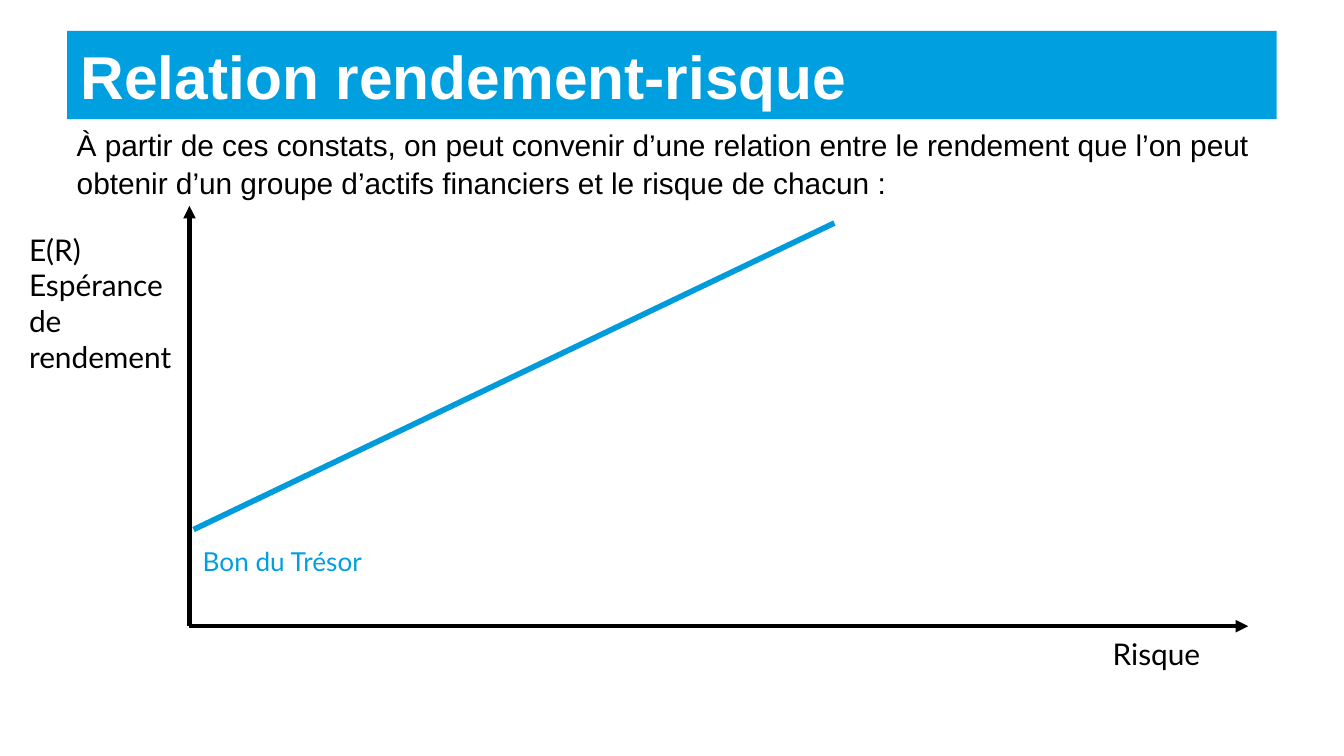
from dataclasses import dataclass

from lxml import etree
from pptx import Presentation
from pptx.dml.color import RGBColor
from pptx.enum.shapes import MSO_CONNECTOR
from pptx.enum.text import MSO_ANCHOR, MSO_AUTO_SIZE, PP_ALIGN
from pptx.oxml.ns import qn
from pptx.shapes.shapetree import GroupShapes
from pptx.slide import Slide
from pptx.text.text import TextFrame
from pptx.util import Pt

STRAIGHT = MSO_CONNECTOR.STRAIGHT
MIDDLE, TOP = MSO_ANCHOR.MIDDLE, MSO_ANCHOR.TOP
NO_FIT = MSO_AUTO_SIZE.NONE
FIT_SHAPE = MSO_AUTO_SIZE.SHAPE_TO_FIT_TEXT
LEFT = PP_ALIGN.LEFT

BLACK = RGBColor(0x00, 0x00, 0x00)
WHITE = RGBColor(0xFF, 0xFF, 0xFF)
BLUE = RGBColor(0x00, 0x9F, 0xDF)
SLOPE_BLUE = RGBColor(0x00, 0x9B, 0xDA)

TITLE_FORMAT = {"name": "Arial", "size": Pt(32.4), "bold": True}
BODY_FORMAT = {"name": "Arial", "size": Pt(16)}
TITLE_FRAME = {"vertical_anchor": MIDDLE, "auto_size": NO_FIT, "word_wrap": True}
BODY_FRAME = {"vertical_anchor": TOP, "auto_size": NO_FIT, "word_wrap": True}
LABEL_FRAME = {"vertical_anchor": TOP, "auto_size": FIT_SHAPE, "word_wrap": False}

ORIGIN = (101.5, 335.5)


@dataclass(frozen=True)
class Box:
    left: float
    top: float
    width: float
    height: float


@dataclass(frozen=True)
class Label:
    lines: tuple[str, ...]
    box: Box
    size: float = 16
    color: RGBColor = BLACK


@dataclass(frozen=True)
class Line:
    start: tuple[float, float]
    end: tuple[float, float]
    color: RGBColor = BLACK
    width: float = 2.25
    arrow: bool = True


LABELS = (
    Label(("E(R)", "Espérance", "de", "rendement"), Box(8.5, 120.3, 91.5, 85)),
    Label(("Risque",), Box(589, 337, 62, 26.5)),
    Label(("Bon du Trésor",), Box(101.5, 288.8, 101.5, 24.5), 14, BLUE),
)
LINES = (
    Line(ORIGIN, (ORIGIN[0], 110.3)),
    Line(ORIGIN, (668.7, ORIGIN[1])),
    Line((103.7, 283.7), (447, 119.5), SLOPE_BLUE, 3, False),
)


def write_text(frame: TextFrame, lines: tuple[str, ...], frame_format: dict,
               font_format: dict, color: RGBColor) -> None:
    for attribute, value in frame_format.items():
        setattr(frame, attribute, value)
    for index, line in enumerate(lines):
        paragraph = frame.paragraphs[0] if index == 0 else frame.add_paragraph()
        paragraph.text = line
        paragraph.alignment = LEFT
        for attribute, value in font_format.items():
            setattr(paragraph.font, attribute, value)
        paragraph.font.color.rgb = color


def add_title(slide: Slide) -> None:
    title = slide.shapes.title
    placement = {"left": 36, "top": 16.5, "width": 648, "height": 47.3}
    for attribute, value in placement.items():
        setattr(title, attribute, Pt(value))
    title.fill.solid()
    title.fill.fore_color.rgb = BLUE
    write_text(title.text_frame, ("Relation rendement-risque",), TITLE_FRAME,
               TITLE_FORMAT, WHITE)


def add_introduction(slide: Slide) -> None:
    introduction = slide.shapes.add_textbox(Pt(19.5), Pt(63.5), Pt(680.5), Pt(322))
    frame = introduction.text_frame
    frame.margin_left = Pt(21.6)
    sentence = (
        "À partir de ces constats, on peut convenir d’une relation entre le "
        "rendement que l’on peut obtenir d’un groupe d’actifs financiers et "
        "le risque de chacun :"
    )
    write_text(frame, (sentence,), BODY_FRAME, BODY_FORMAT, BLACK)
    frame.paragraphs[0].line_spacing = 1.05


def add_label(shapes: GroupShapes, label: Label) -> None:
    box = label.box
    text_box = shapes.add_textbox(Pt(box.left), Pt(box.top), Pt(box.width), Pt(box.height))
    write_text(text_box.text_frame, label.lines, LABEL_FRAME,
               {"name": "Lato", "size": Pt(label.size)}, label.color)


def add_line(shapes: GroupShapes, line: Line) -> None:
    ends = [Pt(value) for value in (*line.start, *line.end)]
    connector = shapes.add_connector(STRAIGHT, *ends)
    connector.line.color.rgb = line.color
    connector.line.width = Pt(line.width)
    if line.arrow:
        outline = connector.line._get_or_add_ln()
        etree.SubElement(outline, qn("a:tailEnd"), type="triangle")
    etree.SubElement(connector._element.spPr, qn("a:effectLst"))


def main() -> None:
    presentation = Presentation()
    presentation.slide_width = Pt(720)
    presentation.slide_height = Pt(405)
    slide = presentation.slides.add_slide(presentation.slide_layouts[5])
    add_title(slide)
    add_introduction(slide)
    diagram = slide.shapes.add_group_shape().shapes
    for label in LABELS:
        add_label(diagram, label)
    for line in LINES:
        add_line(diagram, line)
    presentation.save("out.pptx")


if __name__ == "__main__":
    main()
